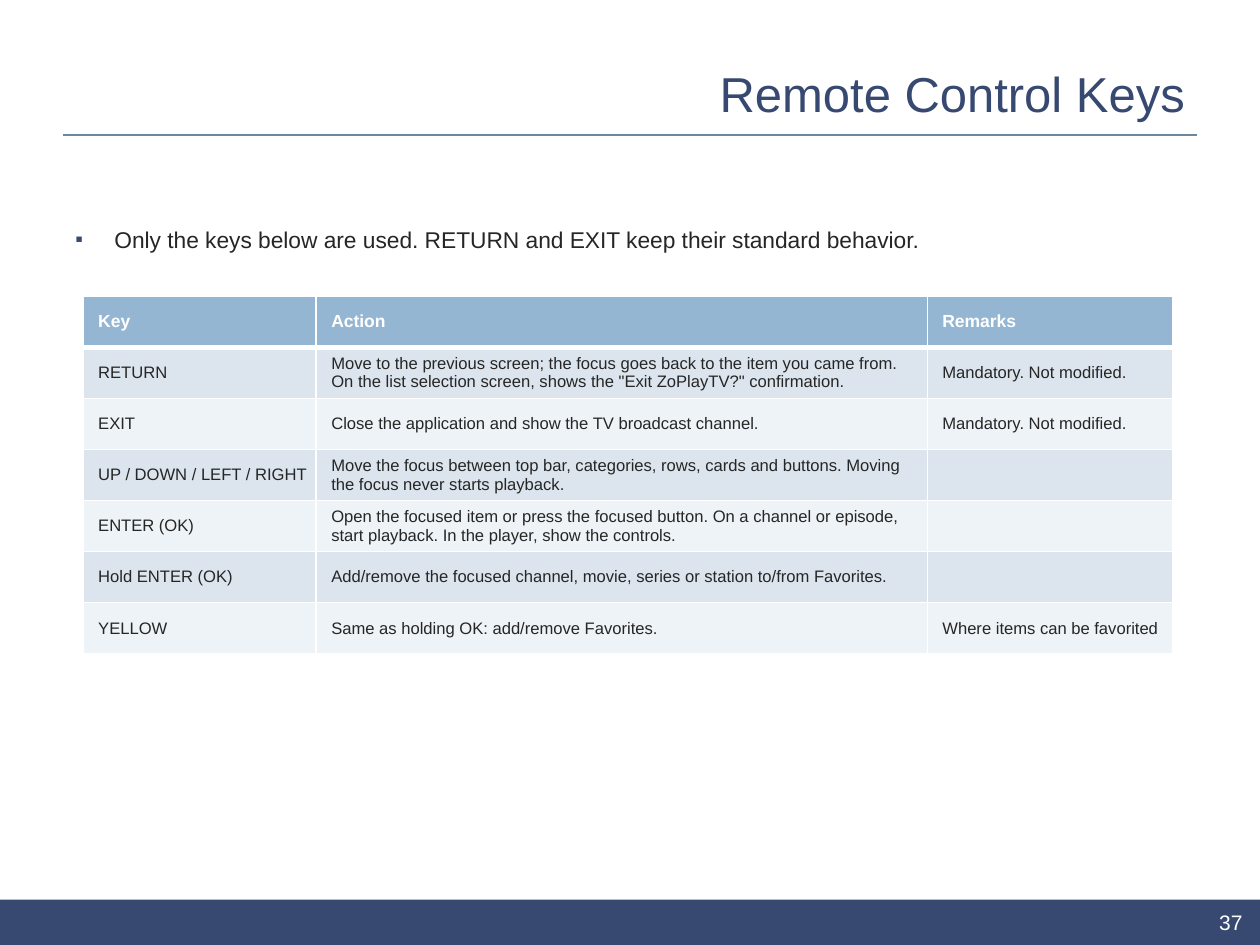
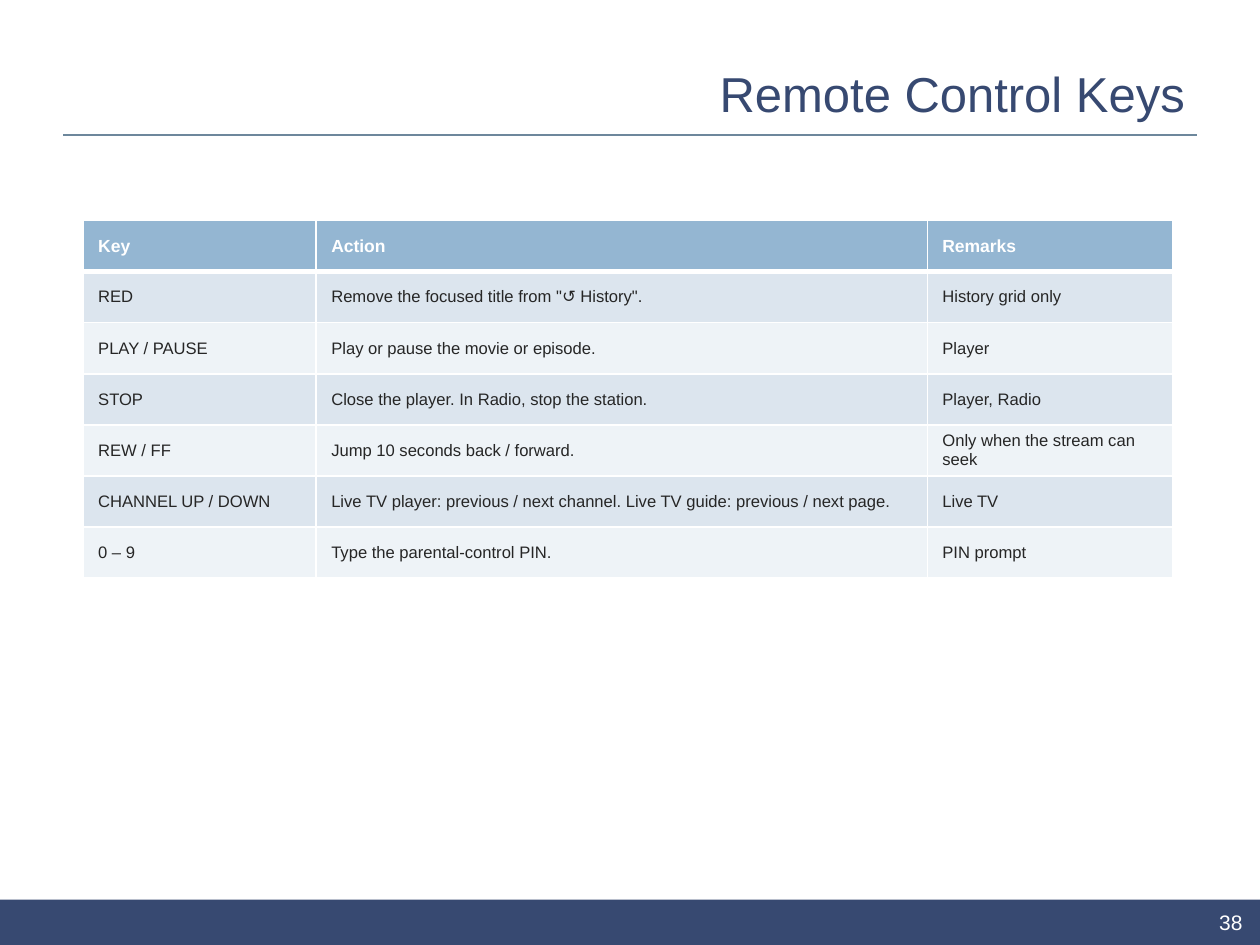
from dataclasses import dataclass
from typing import Any

import lxml.etree
import pptx
import pptx.dml.color
import pptx.enum.shapes
import pptx.enum.text
import pptx.oxml
import pptx.oxml.ns
import pptx.slide
import pptx.table
import pptx.text.text
import pptx.util

Inches = pptx.util.Inches
Pt = pptx.util.Pt
RGBColor = pptx.dml.color.RGBColor
PP_ALIGN = pptx.enum.text.PP_ALIGN
MIDDLE = pptx.enum.text.MSO_ANCHOR.MIDDLE
qn = pptx.oxml.ns.qn

NAVY = RGBColor(0x37, 0x49, 0x71)
SLATE = RGBColor(0x6D, 0x87, 0x9C)
INK = RGBColor(0x26, 0x26, 0x26)
WHITE = RGBColor(0xFF, 0xFF, 0xFF)
HEADER_BLUE = RGBColor(0x94, 0xB6, 0xD2)
BAND_FILLS = (RGBColor(0xDC, 0xE5, 0xEE), RGBColor(0xEE, 0xF3, 0xF7))

FONT = "Arial"
TITLE_FONT = {"name": FONT, "size": Pt(28), "color": NAVY}
NUMBER_FONT = {"name": FONT, "size": Pt(12), "color": WHITE}
BODY_FONT = {"name": FONT, "size": Pt(13), "color": INK}
HEADER_FONT = {"name": FONT, "size": Pt(10), "color": WHITE, "bold": True}
CELL_FONT = {"name": FONT, "size": Pt(9.5), "color": INK, "bold": False}

HEADER_MARGINS = {"margin_left": Inches(0.12), "margin_top": Inches(0.05),
                  "margin_right": Inches(0.1), "margin_bottom": Inches(0.05)}
CELL_MARGINS = {"margin_left": Inches(0.12), "margin_top": Inches(0.04),
                "margin_right": Inches(0.04), "margin_bottom": Inches(0.04)}

TITLE = "Remote Control Keys"
COLUMNS = ("Key", "Action", "Remarks")
COLUMN_WIDTHS = (Inches(1.85), Inches(4.85), Inches(1.95))
TABLE_LEFT = Inches(0.66)
TABLE_HEIGHT = Inches(2.84)


@dataclass(frozen=True)
class Box:
    left: float
    top: float
    width: float
    height: float

    def lengths(self) -> tuple[int, ...]:
        return tuple(map(Inches, (self.left, self.top, self.width, self.height)))


@dataclass(frozen=True)
class RemoteKey:
    name: str
    action: str
    remarks: str = ""


@dataclass(frozen=True)
class KeysPage:
    number: int
    table_top: float
    keys: tuple[RemoteKey, ...]
    intro: str = ""


TITLE_BOX = Box(2.32, 0.4, 7.18, 0.67)
NUMBER_BOX = Box(7.71, 7.21, 2.25, 0.21)
INTRO_BOX = Box(0.5, 1.74, 9, 0.8)
FOOTER_BAND = Box(0, 7.14, 10, 0.36)

PAGES = (
    KeysPage(37, 2.35, (
        RemoteKey("RETURN",
                  "Move to the previous screen; the focus goes back to the item you came from. "
                  "On the list selection screen, shows the \"Exit ZoPlayTV?\" confirmation.",
                  "Mandatory. Not modified."),
        RemoteKey("EXIT", "Close the application and show the TV broadcast channel.",
                  "Mandatory. Not modified."),
        RemoteKey("UP / DOWN / LEFT / RIGHT",
                  "Move the focus between top bar, categories, rows, cards and buttons. "
                  "Moving the focus never starts playback."),
        RemoteKey("ENTER (OK)",
                  "Open the focused item or press the focused button. On a channel or episode, "
                  "start playback. In the player, show the controls."),
        RemoteKey("Hold ENTER (OK)",
                  "Add/remove the focused channel, movie, series or station to/from Favorites."),
        RemoteKey("YELLOW", "Same as holding OK: add/remove Favorites.",
                  "Where items can be favorited"),
    ), "Only the keys below are used. RETURN and EXIT keep their standard behavior."),
    KeysPage(38, 1.75, (
        RemoteKey("RED", "Remove the focused title from \"↺ History\".", "History grid only"),
        RemoteKey("PLAY / PAUSE", "Play or pause the movie or episode.", "Player"),
        RemoteKey("STOP", "Close the player. In Radio, stop the station.", "Player, Radio"),
        RemoteKey("REW / FF", "Jump 10 seconds back / forward.",
                  "Only when the stream can seek"),
        RemoteKey("CHANNEL UP / DOWN",
                  "Live TV player: previous / next channel. Live TV guide: previous / next page.",
                  "Live TV"),
        RemoteKey("0 – 9", "Type the parental-control PIN.", "PIN prompt"),
    )),
)


def set_attributes(target: Any, values: dict[str, Any]) -> None:
    for name, value in values.items():
        if name == "color":
            target.color.rgb = value
        else:
            setattr(target, name, value)


def add_run(p: pptx.text.text._Paragraph, text: str, font: dict[str, Any]) -> None:
    r = p.add_run()
    r.text = text
    set_attributes(r.font, font)


def add_text(s: pptx.slide.Slide, box: Box, text: str, font: dict[str, Any],
             align: PP_ALIGN = PP_ALIGN.RIGHT,
             anchor: pptx.enum.text.MSO_ANCHOR = MIDDLE) -> pptx.text.text._Paragraph:
    tf = s.shapes.add_textbox(*box.lengths()).text_frame
    tf.word_wrap = True
    tf.vertical_anchor = anchor
    p = tf.paragraphs[0]
    p.alignment = align
    add_run(p, text, font)
    return p


def add_bullet(p: pptx.text.text._Paragraph) -> None:
    """Give the paragraph a hanging navy square bullet."""
    pPr = p._p.get_or_add_pPr()
    indent = Inches(0.31)
    pPr.set("marL", str(indent))
    pPr.set("indent", str(-indent))
    color = lxml.etree.SubElement(pPr, qn("a:buClr"))
    lxml.etree.SubElement(color, qn("a:srgbClr"), val=str(NAVY))
    lxml.etree.SubElement(pPr, qn("a:buSzPct"), val="95000")
    lxml.etree.SubElement(pPr, qn("a:buFont"), typeface=FONT)
    lxml.etree.SubElement(pPr, qn("a:buChar"), char="▪")


def add_frame(s: pptx.slide.Slide, number: int) -> None:
    """Draw the footer band, title rule, title and page number."""
    band = s.shapes.add_shape(pptx.enum.shapes.MSO_SHAPE.RECTANGLE, *FOOTER_BAND.lengths())
    band.shadow.inherit = False
    band.fill.solid()
    band.fill.fore_color.rgb = NAVY
    band.line.fill.background()

    rule = s.shapes.add_connector(pptx.enum.shapes.MSO_CONNECTOR.STRAIGHT,
                                  Inches(0.5), Inches(1.07), Inches(9.5), Inches(1.07))
    rule.line.color.rgb = SLATE
    rule.line.width = Pt(1)
    lxml.etree.SubElement(rule._element.spPr, qn("a:effectLst"))

    add_text(s, TITLE_BOX, TITLE, TITLE_FONT)
    add_text(s, NUMBER_BOX, str(number), NUMBER_FONT)


def add_borders(cell: pptx.table._Cell, top: float, bottom: float) -> None:
    """Draw white cell borders; widths are in points, the sides are 1 pt."""
    tcPr = cell._tc.get_or_add_tcPr()
    for side, width in (("L", 1), ("R", 1), ("T", top), ("B", bottom)):
        ln = lxml.etree.SubElement(tcPr, qn(f"a:ln{side}"), w=str(Pt(width)))
        fill = lxml.etree.SubElement(ln, qn("a:solidFill"))
        lxml.etree.SubElement(fill, qn("a:srgbClr"), val=str(WHITE))


def add_keys_table(s: pptx.slide.Slide, top: float, keys: tuple[RemoteKey, ...]) -> None:
    rows = [COLUMNS] + [(key.name, key.action, key.remarks) for key in keys]
    table = s.shapes.add_table(len(rows), len(COLUMNS), TABLE_LEFT, Inches(top),
                               sum(COLUMN_WIDTHS), TABLE_HEIGHT).table
    table.horz_banding = False
    for column, width in zip(table.columns, COLUMN_WIDTHS):
        column.width = width
    for i, texts in enumerate(rows):
        header = i == 0
        for j, text in enumerate(texts):
            cell = table.cell(i, j)
            add_borders(cell, top=3 if i == 1 else 1, bottom=3 if header else 1)
            cell.fill.solid()
            cell.fill.fore_color.rgb = HEADER_BLUE if header else BAND_FILLS[(i - 1) % 2]
            cell.vertical_anchor = MIDDLE
            set_attributes(cell, HEADER_MARGINS if header else CELL_MARGINS)
            if text:
                add_run(cell.text_frame.paragraphs[0], text,
                        HEADER_FONT if header else CELL_FONT)


def main() -> None:
    prs = pptx.Presentation()
    prs.slide_width, prs.slide_height = Inches(10), Inches(7.5)
    for page in PAGES:
        s = prs.slides.add_slide(prs.slide_layouts[6])
        add_frame(s, page.number)
        if page.intro:
            p = add_text(s, INTRO_BOX, page.intro, BODY_FONT,
                         PP_ALIGN.LEFT, pptx.enum.text.MSO_ANCHOR.TOP)
            add_bullet(p)
        add_keys_table(s, page.table_top, page.keys)
    prs.save("out.pptx")


if __name__ == "__main__":
    main()
